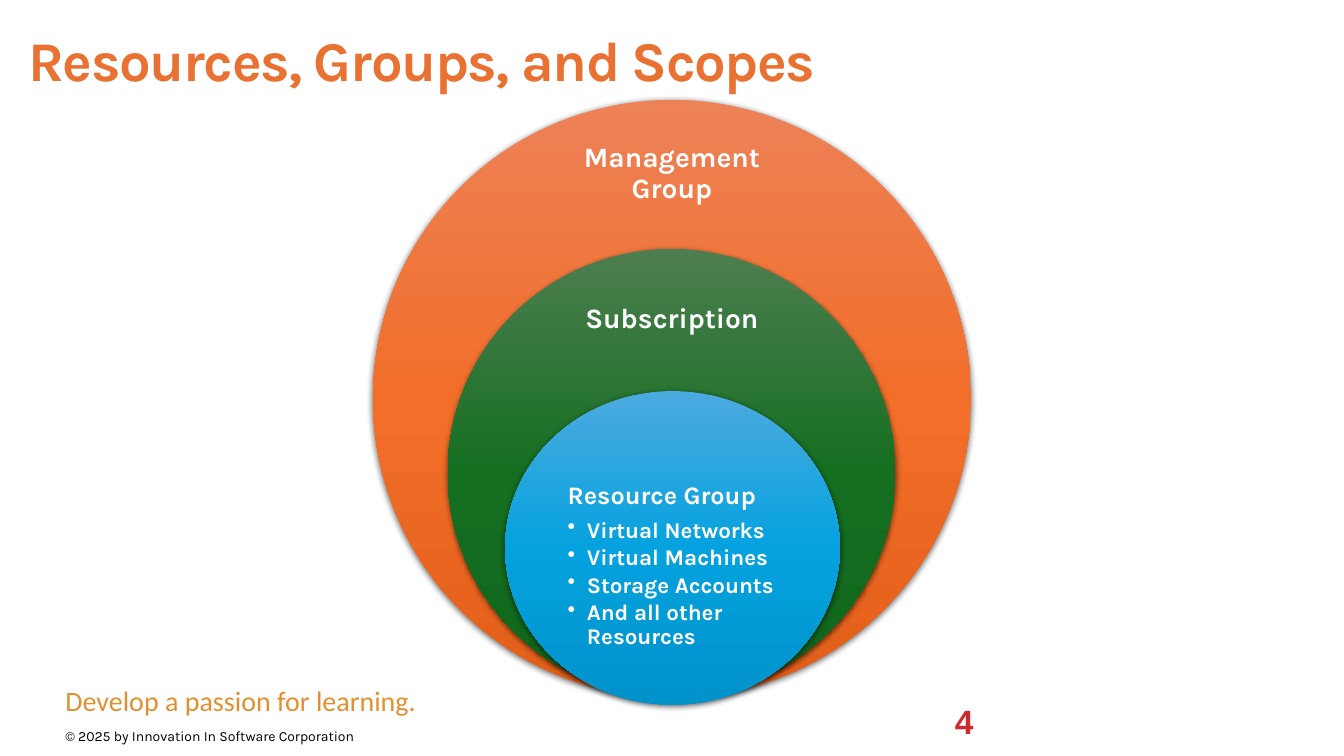
import copy
import pptx
import pptx.dml.color
import pptx.enum.shapes
import pptx.enum.text
import pptx.oxml
import pptx.oxml.ns
import pptx.util

PX = 9144  # 100 px to the inch
HUES = {
    "title": "E97132", "motto": "E2902F", "black": "000000",
    "white": "FFFFFF", "page": "D1282E",
    "outer": ["ED8257", "F26E29", "E25F1A"],
    "middle": ["4D7E50", "156F21", "0F661B"],
    "inner": ["4CAADF", "05A2DF", "0092CB"],
}
NS = pptx.oxml.ns.nsdecls("a")
SHADE = (f'<a:effectLst {NS}><a:outerShdw blurRad="57150" dist="19050" dir="5400000" '
         'algn="ctr" rotWithShape="0"><a:srgbClr val="000000"><a:alpha val="63000"/>'
         '</a:srgbClr></a:outerShdw></a:effectLst>')
ALIGN = pptx.enum.text.PP_ALIGN
ANCHOR = pptx.enum.text.MSO_ANCHOR


def style(para, size, hue, face="Karla", bold=True):
    font = para.font
    font.size, font.name, font.bold = pptx.util.Pt(size), face, bold
    font.color.rgb = pptx.dml.color.RGBColor.from_string(HUES[hue])


def add_text(box, inset, anchor=ANCHOR.TOP):
    frame = slide.shapes.add_textbox(*[n * PX for n in box]).text_frame
    frame.word_wrap = True
    frame.vertical_anchor = anchor
    frame.margin_left = frame.margin_right = inset * PX
    frame.margin_top = frame.margin_bottom = min(inset, 16) * PX
    return frame


deck = pptx.Presentation()
deck.slide_width, deck.slide_height = 1333 * PX, 750 * PX
slide = deck.slides.add_slide(deck.slide_layouts[5])

# Title
title = slide.shapes.title
title.left, title.top, title.width, title.height = 18 * PX, -10 * PX, 1280 * PX, 145 * PX
title.text_frame.auto_size = pptx.enum.text.MSO_AUTO_SIZE.NONE
title.text_frame.vertical_anchor = ANCHOR.MIDDLE
head = title.text_frame.paragraphs[0]
head.text = "Resources, Groups, and Scopes"
head.alignment, head.line_spacing = ALIGN.LEFT, 0.9
style(head, 40, "title")
head.runs[0]._r.get_or_add_rPr().set("spc", "-100")

# Footer and page number
for words, box, inset, size, hue, face, bold in [
    ("Develop a passion for learning.", (55, 673, 403, 44), 10, 20, "motto", "Calibri", False),
    ("© 2025 by Innovation In Software Corporation", (55, 717, 500, 31), 10, 10,
     "black", "Karla", False),
    ("4", (942, 695, 300, 40), 5, 24, "page", "Arial", True),
]:
    frame = add_text(box, inset, ANCHOR.MIDDLE if hue == "page" else ANCHOR.TOP)
    if hue != "page":
        frame.margin_top = frame.margin_bottom = 5 * PX
    para = frame.paragraphs[0]
    para.text = words
    style(para, size, hue, face, bold)

# Nested circles with their labels
for hue, box, area, label in [
    ("outer", (370, 99, 593, 593), (563, 128, 207, 89), "Management Group"),
    ("middle", (444, 247, 444, 444), (563, 275, 207, 83), "Subscription"),
    ("inner", (501, 388, 332, 311), (549, 465, 235, 156), "Resource Group"),
]:
    disc = slide.shapes.add_shape(pptx.enum.shapes.MSO_SHAPE.OVAL, *[n * PX for n in box])
    disc.line.fill.background()
    disc.fill.gradient()
    disc.fill.gradient_angle = 270
    props = disc._element.spPr
    stops = props.find(".//" + pptx.oxml.ns.qn("a:gsLst"))
    stops.append(copy.deepcopy(stops[0]))
    for i, stop in enumerate(disc.fill.gradient_stops):
        stop.color.rgb = pptx.dml.color.RGBColor.from_string(HUES[hue][i])
        stop.position = i / 2
    props.append(pptx.oxml.parse_xml(SHADE))

    inner = hue == "inner"
    frame = add_text(area, 14 if inner else 16, ANCHOR.TOP if inner else ANCHOR.MIDDLE)
    para = frame.paragraphs[0]
    para.text = label
    para.alignment = ALIGN.LEFT if inner else ALIGN.CENTER
    para.line_spacing = 0.9
    size = 18 if inner else 20
    para.space_after = pptx.util.Pt(size * 0.35)
    style(para, size, "white")

# Bullets in the last label
for item in ["Virtual Networks", "Virtual Machines", "Storage Accounts",
             "And all other Resources"]:
    para = frame.add_paragraph()
    para.text = item
    para.line_spacing, para.space_after = 0.9, pptx.util.Pt(2.4)
    props = para._p.get_or_add_pPr()
    props.set("marL", str(19 * PX))
    props.set("indent", str(-19 * PX))
    props.append(pptx.oxml.parse_xml(f'<a:buChar {NS} char="•"/>'))
    style(para, 16, "white")

deck.save("out.pptx")
